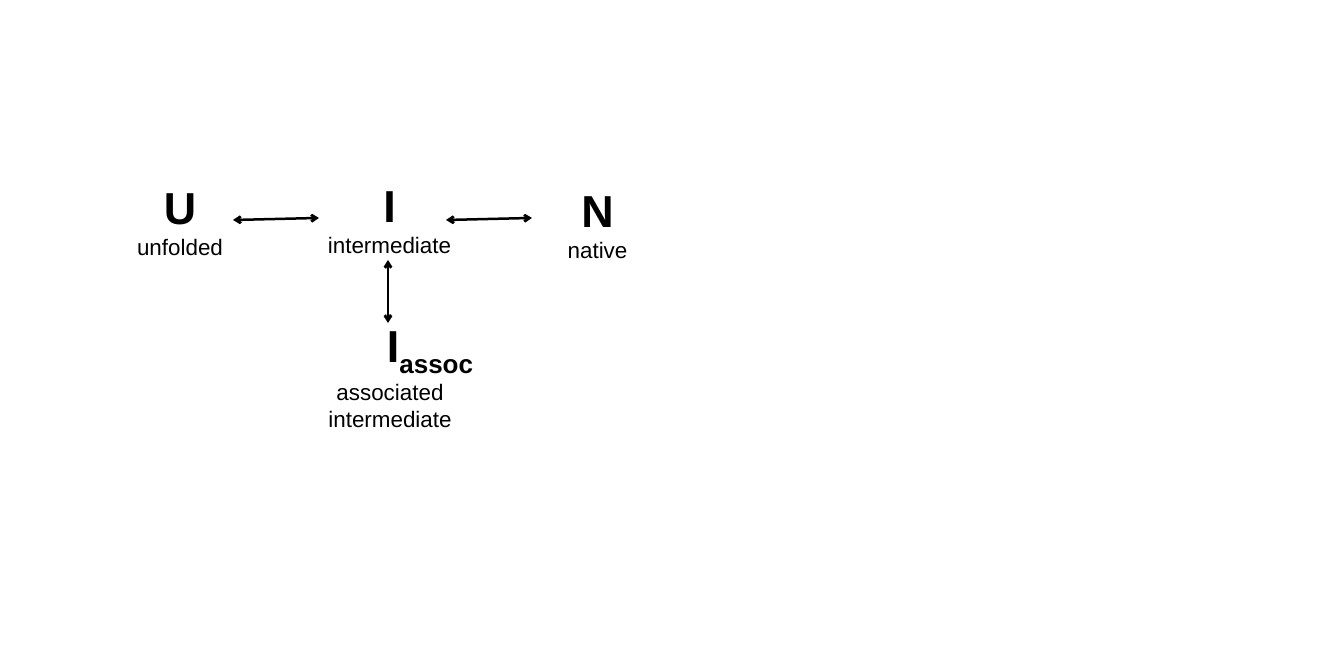
from lxml.etree import SubElement
from pptx import Presentation
from pptx.dml.color import RGBColor
from pptx.enum.shapes import MSO_CONNECTOR
from pptx.enum.text import PP_ALIGN
from pptx.oxml.ns import qn
from pptx.util import Pt

PX = 914400 / 89.6
BLACK = RGBColor(0, 0, 0)
FONT = "Arial"


def px(n):
    return round(n * PX)


def add_run(p, text, size, bold=False):
    r = p.add_run()
    r.text = text
    r.font.name = FONT
    r.font.size = Pt(size)
    r.font.bold = bold
    r.font.color.rgb = BLACK
    return r


def add_state(slide, box, symbol, names, subscript="", indent=0):
    sp = slide.shapes.add_textbox(*map(px, box))
    tf = sp.text_frame
    tf.word_wrap = True
    tf.margin_left = tf.margin_right = 0
    p = tf.paragraphs[0]
    p.alignment = PP_ALIGN.CENTER
    add_run(p, symbol, 36, bold=True)
    if subscript:
        r = add_run(p, subscript, 36, bold=True)
        r.font._element.set("baseline", "-25000")
    if indent:
        pPr = p._p.get_or_add_pPr()
        pPr.set("marL", str(px(indent)))
        pPr.set("indent", "0")
    for name in names:
        p = tf.add_paragraph()
        p.alignment = PP_ALIGN.CENTER
        add_run(p, name, 18)


def add_double_arrow(slide, x1, y1, x2, y2):
    sp = slide.shapes.add_connector(
        MSO_CONNECTOR.STRAIGHT, px(x1), px(y1), px(x2), px(y2))
    sp.line.color.rgb = BLACK
    sp.line.width = Pt(2)
    ln = sp.line._get_or_add_ln()
    for end in ("a:headEnd", "a:tailEnd"):
        SubElement(ln, qn(end), type="arrow")
    SubElement(sp._element.spPr, qn("a:effectLst"))


def main():
    prs = Presentation()
    prs.slide_width, prs.slide_height = px(1344), px(672)
    slide = prs.slides.add_slide(prs.slide_layouts[6])

    add_state(slide, (128, 175, 104, 90), "U", ["unfolded"])
    add_state(slide, (319, 173, 141, 90), "I", ["intermediate"])
    add_state(slide, (559, 178, 77, 90), "N", ["native"])
    add_state(slide, (297, 313, 186, 125), "I",
              ["associated", "intermediate"], subscript="assoc", indent=80)

    for x in (233, 446):
        add_double_arrow(slide, x, 220, x + 86, 218)
    add_double_arrow(slide, 388, 260, 388, 323)

    prs.save("out.pptx")


if __name__ == "__main__":
    main()
